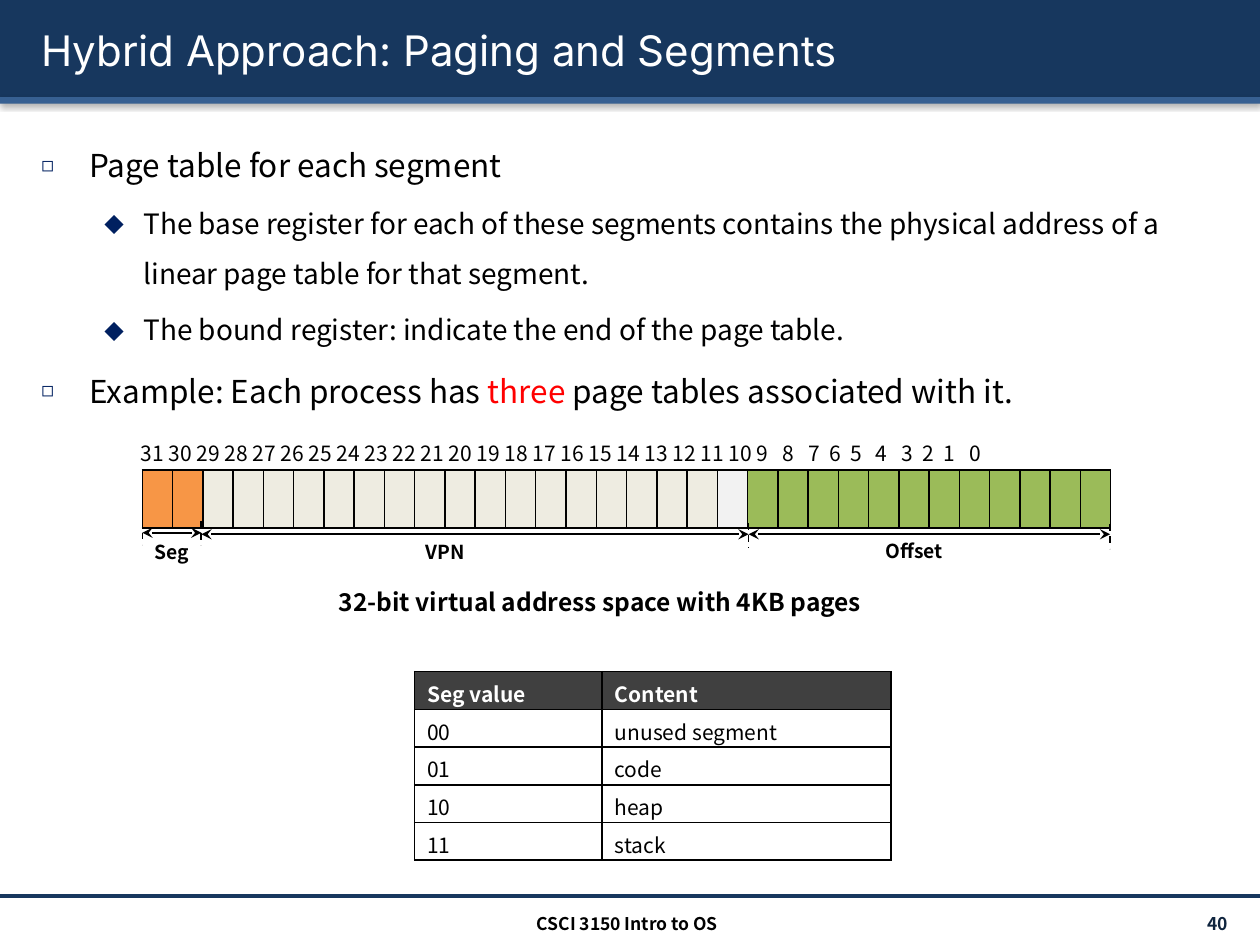
from dataclasses import dataclass
from itertools import accumulate

from lxml import etree
from pptx import Presentation, util as u
from pptx.dml.color import RGBColor
from pptx.enum import dml, shapes, text
from pptx.oxml import ns

Cm, Pt = u.Cm, u.Pt


@dataclass(frozen=True)
class Theme:
    heading: str = "Inter"
    font: str = "Noto Sans CJK KR"
    white: str = "FFFFFF"
    black: str = "000000"
    navy: str = "17375E"
    blue: str = "376092"
    bullet: str = "002060"
    number: str = "0F243E"
    accent: str = "FF0000"
    orange: str = "F79646"
    cream: str = "EEECE1"
    grey: str = "F2F2F2"
    green: str = "9BBB59"
    dark: str = "404040"
    title_size: int = 24
    body_sizes: tuple = (18, 16)
    caption_size: int = 14
    text_size: int = 12
    label_size: int = 11
    footer_size: int = 10


def node(parent, tag, **attributes):
    """Append a DrawingML element and return it."""
    child = etree.SubElement(parent, ns.qn("a:" + tag))
    for name, value in attributes.items():
        child.set(name, str(value))
    return child


def shadow(properties, blur, distance, angle, alpha):
    effects = node(properties, "effectLst")
    outer = node(effects, "outerShdw", blurRad=int(Pt(blur)), dist=int(Pt(distance)),
                 dir=angle * 60000, algn="t", rotWithShape=0)
    node(node(outer, "srgbClr", val="000000"), "alpha", val=alpha * 1000)


class SlideBuilder:
    def __init__(self, slide, theme):
        self.slide, self.theme = slide, theme

    def style(self, font, size, color=None, bold=False, name=None):
        font.name, font.size, font.bold = name or self.theme.font, Pt(size), bold
        font.color.rgb = RGBColor.from_string(color or self.theme.black)

    def place(self, shape, left, top, width, height):
        shape.left, shape.top = Cm(left), Cm(top)
        shape.width, shape.height = Cm(width), Cm(height)

    def band(self, top, height, color):
        """Full-width bar sent behind everything else."""
        bar = self.slide.shapes.add_shape(shapes.MSO_SHAPE.RECTANGLE, 0, Cm(top), Cm(25.4), Cm(height))
        bar.fill.solid()
        bar.fill.fore_color.rgb = RGBColor.from_string(color)
        bar.line.fill.background()
        shadow(bar._element.spPr, 3.1, 1.6, 90, 38)
        self.slide.shapes._spTree.insert(2, bar._element)

    def title(self, words):
        box = self.slide.shapes.title
        self.place(box, 0.58, 0.18, 24.41, 1.63)
        box.text_frame.auto_size = text.MSO_AUTO_SIZE.NONE
        box.text_frame.vertical_anchor = text.MSO_ANCHOR.MIDDLE
        para = box.text_frame.paragraphs[0]
        para.alignment = text.PP_ALIGN.LEFT
        self.style(para.font, self.theme.title_size, self.theme.white, name=self.theme.heading)
        span = para.add_run()
        span.text = words
        shadow(span._r.get_or_add_rPr(), 0, 1.5, 45, 100)

    def bullets(self, items):
        """Each item is a level and a list of (words, color) spans."""
        box = self.slide.placeholders[1]
        self.place(box, 0.58, 2.44, 24.41, 15.29)
        frame = box.text_frame
        frame.auto_size = text.MSO_AUTO_SIZE.NONE
        marks = (("◻", 65, 0.97, 0.97), ("⬥", 100, 2.06, 0.79))
        for index, (level, spans) in enumerate(items):
            para = frame.paragraphs[0] if index == 0 else frame.add_paragraph()
            para.level, para.line_spacing = level, 1.5
            mark, percent, margin, hanging = marks[level]
            properties = para._p.get_or_add_pPr()
            properties.set("marL", str(int(Cm(margin))))
            properties.set("indent", str(-int(Cm(hanging))))
            node(node(properties, "buClr"), "srgbClr", val=self.theme.bullet)
            node(properties, "buSzPct", val=percent * 1000)
            node(properties, "buChar", char=mark)
            self.style(para.font, self.theme.body_sizes[level])
            for words, color in spans:
                span = para.add_run()
                span.text = words
                if color:
                    span.font.color.rgb = RGBColor.from_string(color)

    def label(self, words, left, top, width, height, size, color=None, bold=True,
              align=text.PP_ALIGN.CENTER, anchor=text.MSO_ANCHOR.TOP, tabs=()):
        box = self.slide.shapes.add_textbox(Cm(left), Cm(top), Cm(width), Cm(height))
        frame = box.text_frame
        frame.word_wrap, frame.vertical_anchor = True, anchor
        para = frame.paragraphs[0]
        para.text, para.alignment = words, align
        if tabs:
            stops = node(para._p.get_or_add_pPr(), "tabLst")
            for stop in tabs:
                node(stops, "tab", pos=int(Cm(stop)), algn="l")
        self.style(para.font, size, color, bold)

    def line(self, start, end, color=None, width=1, dashed=False, arrows=False):
        link = self.slide.shapes.add_connector(
            shapes.MSO_CONNECTOR.STRAIGHT, *(Cm(value) for value in start + end))
        link.line.color.rgb = RGBColor.from_string(color or self.theme.black)
        link.line.width = Pt(width)
        if dashed:
            link.line.dash_style = dml.MSO_LINE.DASH
        if arrows:
            for tip in ("headEnd", "tailEnd"):
                node(link.line._get_or_add_ln(), tip, type="stealth")
        node(link._element.spPr, "effectLst")

    def table(self, left, top, widths, row_height, rows):
        """Each cell is (words, fill, text color, bold)."""
        frame = self.slide.shapes.add_table(
            len(rows), len(widths), Cm(left), Cm(top), Cm(sum(widths)), Cm(row_height * len(rows)))
        grid = frame.table
        grid.first_row = grid.horz_banding = False
        for column, width in zip(grid.columns, widths):
            column.width = Cm(width)
        for row, cells in zip(grid.rows, rows):
            row.height = Cm(row_height)
            for cell, (words, fill, color, bold) in zip(row.cells, cells):
                for side in ("lnL", "lnR", "lnT", "lnB"):
                    border = node(cell._tc.get_or_add_tcPr(), side, w=int(Pt(1)))
                    node(node(border, "solidFill"), "srgbClr", val=self.theme.black)
                cell.fill.solid()
                cell.fill.fore_color.rgb = RGBColor.from_string(fill)
                cell.margin_bottom = 0
                if words:
                    para = cell.text_frame.paragraphs[0]
                    para.text = words
                    self.style(para.font, self.theme.text_size, color, bold)


def main():
    deck = Presentation()
    deck.slide_width, deck.slide_height = Cm(25.4), Cm(19.05)
    theme = Theme()
    page = SlideBuilder(deck.slides.add_slide(deck.slide_layouts[1]), theme)

    # Header, rule and footer
    page.band(1.96, 0.13, theme.blue)
    page.band(0, 1.96, theme.navy)
    page.line((0, 18.06), (25.4, 18.06), theme.navy, 2)
    page.title("Hybrid Approach: Paging and Segments")
    page.label("40", 22.04, 18.31, 2.97, 0.61, theme.footer_size, theme.number,
               align=text.PP_ALIGN.RIGHT, anchor=text.MSO_ANCHOR.MIDDLE)
    page.label("CSCI 3150 Intro to OS", 8.43, 18.29, 8.43, 0.61, theme.footer_size)

    # Bullet list
    page.bullets([
        (0, [("Page table for each segment", None)]),
        (1, [("The base register for each of these segments contains the physical address "
              "of a linear page table for that segment.", None)]),
        (1, [("The bound register: indicate the end of the page table.", None)]),
        (0, [("Example: Each process has ", None), ("three", theme.accent),
             (" page tables associated with it.", None)]),
    ])

    # Address bits: segment, page number, offset
    fills = [theme.orange] * 2 + [theme.cream] * 17 + [theme.grey] + [theme.green] * 12
    page.table(2.87, 9.47, [0.61] * 32, 1.17, [[("", fill, None, False) for fill in fills]])
    high_bits = " ".join(str(bit) for bit in range(31, 8, -1))
    low_bits = "\t".join(str(bit) for bit in range(8, -1, -1))
    wide, narrow = 0.52, 0.42
    steps = (wide, wide, narrow, narrow, wide, wide, narrow, narrow, wide)
    tabs = list(accumulate(steps, initial=12.42))[1:]
    page.label(high_bits + "\t" + low_bits, 2.59, 8.76, 20.22, 0.76, theme.text_size,
               bold=False, align=text.PP_ALIGN.LEFT, tabs=tabs)

    # Field widths under the bits
    edges = (2.87, 4.06, 15.09, 22.38)
    for edge, top in zip(edges, (10.49, 10.5, 10.54, 10.57)):
        page.line((edge, top), (edge, top + 0.49), dashed=True)
    fields = (("Seg", 2.57, 10.77, 10.74), ("VPN", 8.08, 10.77, 10.77), ("Offset", 17.53, 10.74, 10.77))
    for start, end, (name, left, top, level) in zip(edges, edges[1:], fields):
        page.line((start, level), (end, level), arrows=True)
        page.label(name, left, top, 1.8, 0.74, theme.label_size)
    page.label("32-bit virtual address space with 4KB pages", 6.5, 11.71, 11.2, 0.86, theme.caption_size)

    # Segment values
    values = [("00", "unused segment"), ("01", "code"), ("10", "heap"), ("11", "stack")]
    rows = [[(words, theme.dark, theme.white, True) for words in ("Seg value", "Content")]]
    rows += [[(words, theme.white, theme.black, False) for words in pair] for pair in values]
    page.table(8.36, 13.54, [3.78, 5.82], 0.76, rows)

    deck.save("out.pptx")


if __name__ == "__main__":
    main()
